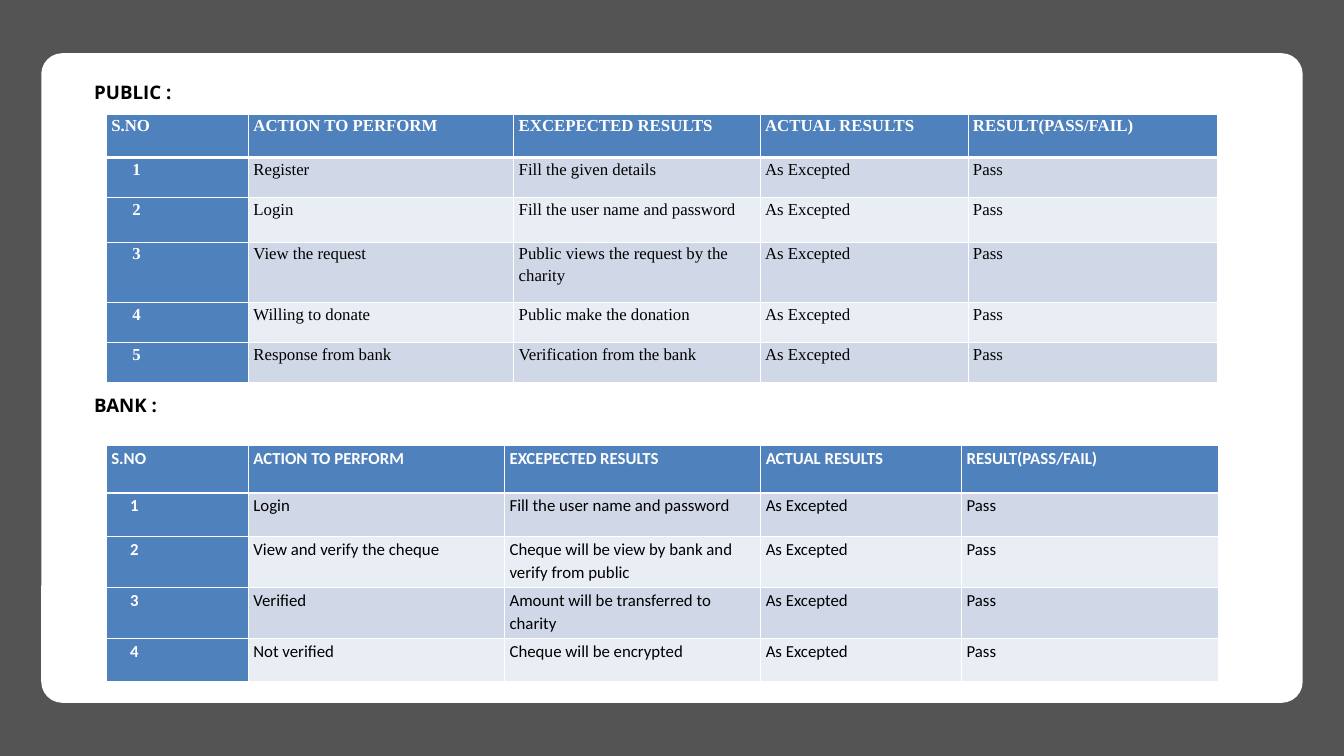
from lxml.etree import SubElement
from pptx import Presentation
from pptx.dml.color import RGBColor
from pptx.enum.shapes import MSO_SHAPE
from pptx.enum.text import MSO_ANCHOR, MSO_AUTO_SIZE, PP_ALIGN
from pptx.oxml.ns import qn
from pptx.util import Emu, Pt

PX = 9525  # EMU per pixel, 96 px to the inch
COLORS = {
    "background": "545454",
    "card": "FFFFFF",
    "header": "4F81BD",
    "odd_row": "D0D8E8",
    "even_row": "E9EDF4",
    "border": "FFFFFF",
    "light_text": "FFFFFF",
    "dark_text": "000000",
}
HEADERS = ["S.NO", "ACTION TO PERFORM", "EXCEPECTED RESULTS",
           "ACTUAL RESULTS", "RESULT(PASS/FAIL)"]
PUBLIC_TESTS = [
    ("Register", "Fill the given details"),
    ("Login", "Fill the user name and password"),
    ("View the request", "Public views the request by the charity"),
    ("Willing to donate", "Public make the donation"),
    ("Response from bank", "Verification from the bank"),
]
BANK_TESTS = [
    ("Login", "Fill the user name and password"),
    ("View and verify the cheque",
     "Cheque will be view by bank and verify from public"),
    ("Verified", "Amount will be transferred to charity"),
    ("Not verified", "Cheque will be encrypted"),
]


def px(length):
    return Emu(length * PX)


def color(name):
    return RGBColor.from_string(COLORS[name])


def style_font(font, name, size, color_name, bold):
    font.name, font.size, font.bold = name, Pt(size), bold
    font.color.rgb = color(color_name)


def add_card(slide, left, top, width, height, radius):
    card = slide.shapes.add_shape(MSO_SHAPE.ROUNDED_RECTANGLE,
                                  px(left), px(top), px(width), px(height))
    card.adjustments[0] = radius / height
    card.shadow.inherit = False
    card.fill.solid()
    card.fill.fore_color.rgb = color("card")
    card.line.fill.background()
    slide.shapes.title.element.addprevious(card.element)  # behind the title


def format_heading(shape, text, left, top, width, height):
    shape.left, shape.top = px(left), px(top)
    shape.width, shape.height = px(width), px(height)
    frame = shape.text_frame
    frame.text = text
    frame.word_wrap = True
    frame.auto_size = MSO_AUTO_SIZE.NONE
    frame.vertical_anchor = MSO_ANCHOR.MIDDLE
    paragraph = frame.paragraphs[0]
    paragraph.alignment = PP_ALIGN.LEFT
    paragraph.line_spacing = 1.0
    paragraph.space_before = Pt(0)
    style_font(paragraph.font, "Open Sans", 20, "dark_text", True)


def set_borders(cell, **widths):
    """Draw the four cell borders; widths in points, 1 unless given."""
    properties = cell._tc.get_or_add_tcPr()
    for side in "LRTB":
        line = SubElement(properties, qn(f"a:ln{side}"),
                          w=str(Pt(widths.get(side, 1))))
        fill = SubElement(line, qn("a:solidFill"))
        SubElement(fill, qn("a:srgbClr"), val=COLORS["border"])


def format_cell(cell, text, font_name, fill_name, bold, indent):
    cell.text = text
    cell.margin_left, cell.margin_right = px(7 + indent), px(7)
    cell.margin_top = cell.margin_bottom = 0
    cell.fill.solid()
    cell.fill.fore_color.rgb = color(fill_name)
    paragraph = cell.text_frame.paragraphs[0]
    paragraph.line_spacing = 1.15
    style_font(paragraph.font, font_name, 18,
               "light_text" if bold else "dark_text", bold)


def add_test_table(slide, left, top, columns, rows, tests, font_name, indent):
    table = slide.shapes.add_table(len(rows), len(columns), px(left), px(top),
                                   px(sum(columns)), px(sum(rows))).table
    table.first_col = True
    for column, width in zip(table.columns, columns):
        column.width = px(width)
    for row, height in zip(table.rows, rows):
        row.height = px(height)

    # Header row, then numbered tests that all share the same outcome
    records = [HEADERS] + [(str(number), *test, "As Excepted", "Pass")
                           for number, test in enumerate(tests, 1)]
    for r, record in enumerate(records):
        for c, text in enumerate(record):
            cell = table.cell(r, c)
            set_borders(cell, **({0: {"B": 3}, 1: {"T": 3}}.get(r, {})))
            is_header = r == 0 or c == 0
            band = "odd_row" if r % 2 else "even_row"
            format_cell(cell, text, font_name,
                        "header" if is_header else band, is_header,
                        indent if r > 0 and c == 0 else 0)


def build_test_slide(presentation):
    slide = presentation.slides.add_slide(presentation.slide_layouts[5])
    slide.background.fill.solid()
    slide.background.fill.fore_color.rgb = color("background")
    add_card(slide, 59, 76, 1802, 928, radius=30)

    # Public tests
    format_heading(slide.shapes.title, "PUBLIC :", 125, 110, 276, 42)
    add_test_table(slide, 152, 163, [203, 379, 352, 297, 356],
                   [62, 57, 64, 86, 57, 57], PUBLIC_TESTS,
                   "Times New Roman", indent=30)

    # Bank tests
    bank_heading = slide.shapes.add_textbox(0, 0, 0, 0)
    format_heading(bank_heading, "BANK :", 125, 558, 276, 42)
    add_test_table(slide, 152, 636, [203, 366, 366, 287, 366],
                   [68, 62, 73, 73, 62], BANK_TESTS, "Calibri", indent=27)


def main():
    presentation = Presentation()
    presentation.slide_width, presentation.slide_height = px(1920), px(1080)
    build_test_slide(presentation)
    presentation.save("out.pptx")


if __name__ == "__main__":
    main()
